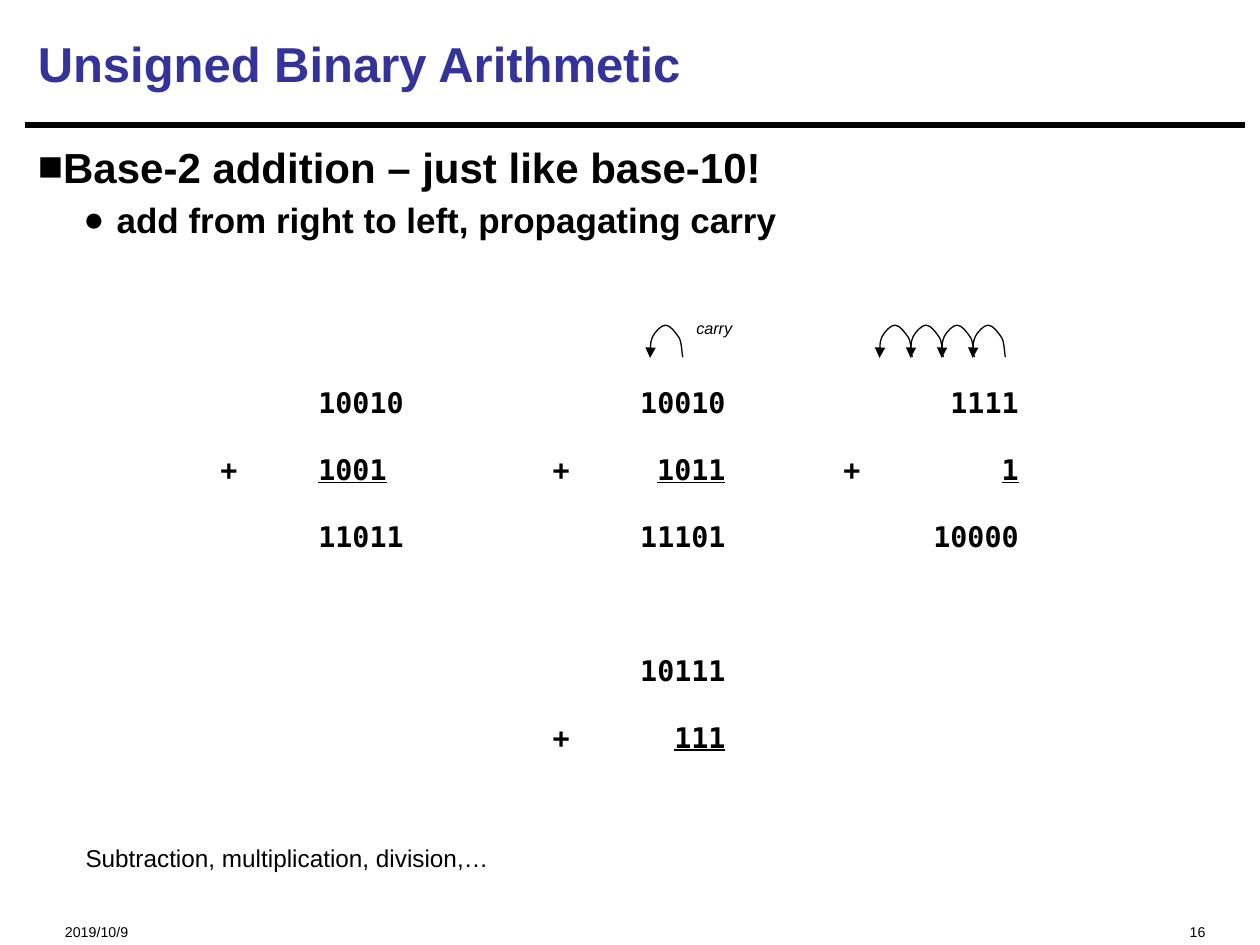
"""Build the slide on unsigned binary arithmetic."""
import dataclasses

import lxml.etree
import pptx
import pptx.dml.color
import pptx.enum.shapes
import pptx.enum.text
import pptx.oxml.ns
import pptx.util

Pt = pptx.util.Pt
qn = pptx.oxml.ns.qn
ALIGN = pptx.enum.text.PP_ALIGN
ANCHOR = pptx.enum.text.MSO_ANCHOR


@dataclasses.dataclass(frozen=True)
class Theme:
    """Colours, fonts and type sizes of the slide."""
    ink: str = "000000"
    heading: str = "333399"
    sans: str = "Arial"
    mono: str = "DejaVu Sans Mono"
    title: int = 28
    point: int = 24
    subpoint: int = 20
    sums: int = 28
    remark: int = 24
    label: int = 16
    footer: int = 14
    lowered: str = "-25000"


class SlideBuilder:
    """Draw styled elements on the current slide."""

    ARC = [(1, 0.98), (0.97, 0.9), (0.97, 0.54), (0.89, 0.39),
           (0.78, 0.23), (0.62, 0), (0.47, 0), (0.35, 0), (0.16, 0.19),
           (0.08, 0.35), (0, 0.54), (0.01, 0.85), (0, 1)]

    def __init__(self, page, theme):
        """Keep the slide and its style."""
        self.page = page
        self.theme = theme

    def style(self, span, size, color=None, font=None, bold=False,
              italic=False, underline=False, lowered=False):
        """Format one run."""
        span.font.size = Pt(size)
        span.font.name = font or self.theme.sans
        span.font.bold = bold
        span.font.italic = italic
        span.font.underline = underline
        span.font.color.rgb = pptx.dml.color.RGBColor.from_string(
            color or self.theme.ink)
        if lowered:
            span._r.get_or_add_rPr().set("baseline", self.theme.lowered)

    def place(self, shape, left, top, width, height):
        """Move and size a shape."""
        shape.left, shape.top = Pt(left), Pt(top)
        shape.width, shape.height = Pt(width), Pt(height)

    def title(self, text, *frame):
        """Fill the title placeholder."""
        box = self.page.shapes.title
        self.place(box, *frame)
        box.text_frame.text = text
        box.text_frame.auto_size = pptx.enum.text.MSO_AUTO_SIZE.NONE
        box.text_frame.vertical_anchor = ANCHOR.MIDDLE
        para = box.text_frame.paragraphs[0]
        para.alignment = ALIGN.LEFT
        self.style(para.runs[0], self.theme.title, self.theme.heading,
                   bold=True)

    def bullets(self, items, *frame):
        """Fill the body placeholder with (text, level) items."""
        levels = [("■", 0, 0, self.theme.point),
                  ("●", 45, -19, self.theme.subpoint)]
        box = self.page.placeholders[1]
        self.place(box, *frame)
        box.text_frame.text = "\n".join(text for text, _ in items)
        box.text_frame.auto_size = pptx.enum.text.MSO_AUTO_SIZE.NONE
        for index, (para, (_, level)) in enumerate(
                zip(box.text_frame.paragraphs, items)):
            mark, margin, indent, size = levels[level]
            para.level = level
            para.space_before = Pt(4 if index else 0)
            props = para._p.get_or_add_pPr()
            props.set("marL", str(Pt(margin)))
            props.set("indent", str(Pt(indent)))
            lxml.etree.SubElement(props, qn("a:buFont"),
                                  typeface=self.theme.sans)
            lxml.etree.SubElement(props, qn("a:buChar"), char=mark)
            self.style(para.runs[0], size, bold=True)

    def label(self, text, size, *frame, align=ALIGN.LEFT, italic=False):
        """Add a one-line text box."""
        box = self.page.shapes.add_textbox(*map(Pt, frame))
        box.text_frame.word_wrap = True
        box.text_frame.text = text
        para = box.text_frame.paragraphs[0]
        para.alignment = align
        self.style(para.runs[0], size, italic=italic, lowered=True)

    def sums(self, rows, stops, *frame):
        """Add tabbed rows of (pieces, space before), underlining addends."""
        box = self.page.shapes.add_textbox(*map(Pt, frame))
        box.text_frame.word_wrap = True
        for index, (pieces, gap) in enumerate(rows):
            para = (box.text_frame.add_paragraph() if index
                    else box.text_frame.paragraphs[0])
            para.space_before = Pt(gap)
            tabs = lxml.etree.SubElement(para._p.get_or_add_pPr(),
                                         qn("a:tabLst"))
            for position, side in stops:
                lxml.etree.SubElement(tabs, qn("a:tab"),
                                      pos=str(Pt(position)), algn=side)
            for number, piece in enumerate(pieces):
                span = para.add_run()
                span.text = piece
                self.style(span, self.theme.sums, font=self.theme.mono,
                           bold=True, underline=number % 2 == 1,
                           lowered=True)

    def rule(self, left, right, y, weight):
        """Add a horizontal line."""
        line = self.page.shapes.add_connector(
            pptx.enum.shapes.MSO_CONNECTOR.STRAIGHT,
            Pt(left), Pt(y), Pt(right), Pt(y))
        self.stroke(line, weight)
        lxml.etree.SubElement(line._element.spPr, qn("a:effectLst"))

    def stroke(self, shape, weight):
        """Set the outline of a shape."""
        shape.line.width = Pt(weight)
        shape.line.color.rgb = pptx.dml.color.RGBColor.from_string(
            self.theme.ink)

    def carry(self, left, top, size):
        """Add an arched arrow from one digit to the next on its left."""
        joints = [(Pt(left + size * x), Pt(top + size * y))
                  for x, y in self.ARC[::3]]
        outline = self.page.shapes.build_freeform(*joints[0])
        outline.add_line_segments(joints[1:], close=False)
        arc = outline.convert_to_shape()
        for index, segment in enumerate(
                list(arc._element.iter(qn("a:lnTo")))):
            curve = lxml.etree.Element(qn("a:cubicBezTo"))
            for x, y in self.ARC[3 * index + 1:3 * index + 4]:
                lxml.etree.SubElement(curve, qn("a:pt"), x=str(Pt(size * x)),
                                      y=str(Pt(size * y)))
            segment.getparent().replace(segment, curve)
        arc.shadow.inherit = False
        arc.fill.background()
        self.stroke(arc, 0.75)
        lxml.etree.SubElement(arc.line._get_or_add_ln(), qn("a:tailEnd"),
                              type="triangle")


def main():
    """Create the deck and save it."""
    deck = pptx.Presentation()
    deck.slide_width, deck.slide_height = Pt(720), Pt(540)
    theme = Theme()
    slide = SlideBuilder(deck.slides.add_slide(deck.slide_layouts[1]), theme)

    slide.rule(14.4, 711.4, 71.5, 3.75)
    slide.label("2019/10/9", theme.footer, 30, 514.8, 180, 19.5)
    slide.label("16", theme.footer, 480, 514.8, 216, 19.5, align=ALIGN.RIGHT)
    slide.title("Unsigned Binary Arithmetic", 14.4, 5.8, 696, 60.5)
    slide.bullets([("Base-2 addition – just like base-10!", 0),
                   ("add from right to left, propagating carry", 1)],
                  14.4, 77, 696, 103)

    stops = [(34.6, "l"), (90.6, "l"), (224.5, "l"), (323.3, "r"),
             (390.6, "l"), (490.8, "r")]
    rows = [(["\t\t10010\t\t10010\t\t1111"], 0),
            (["\t+", "\t1001", "\t+", "\t1011", "\t+", "\t1"], 0),
            (["\t\t11011\t\t11101\t\t10000"], 0),
            (["\t\t\t\t10111"], 38.3),
            (["\t\t\t+", "\t111"], 0)]
    slide.sums(rows, stops, 84.2, 198, 564, 209)

    slide.carry(371.5, 185.8, 18.7)
    slide.label("carry", theme.label, 383, 167.8, 50.4, 26.6,
                align=ALIGN.CENTER, italic=True)
    for digit in reversed(range(4)):
        slide.carry(502.6 + 17.76 * digit, 185.8, 18.7)
    slide.label("Subtraction, multiplication, division,…", theme.remark,
                41.8, 462.2, 412.6, 36)
    deck.save("out.pptx")


if __name__ == "__main__":
    main()
